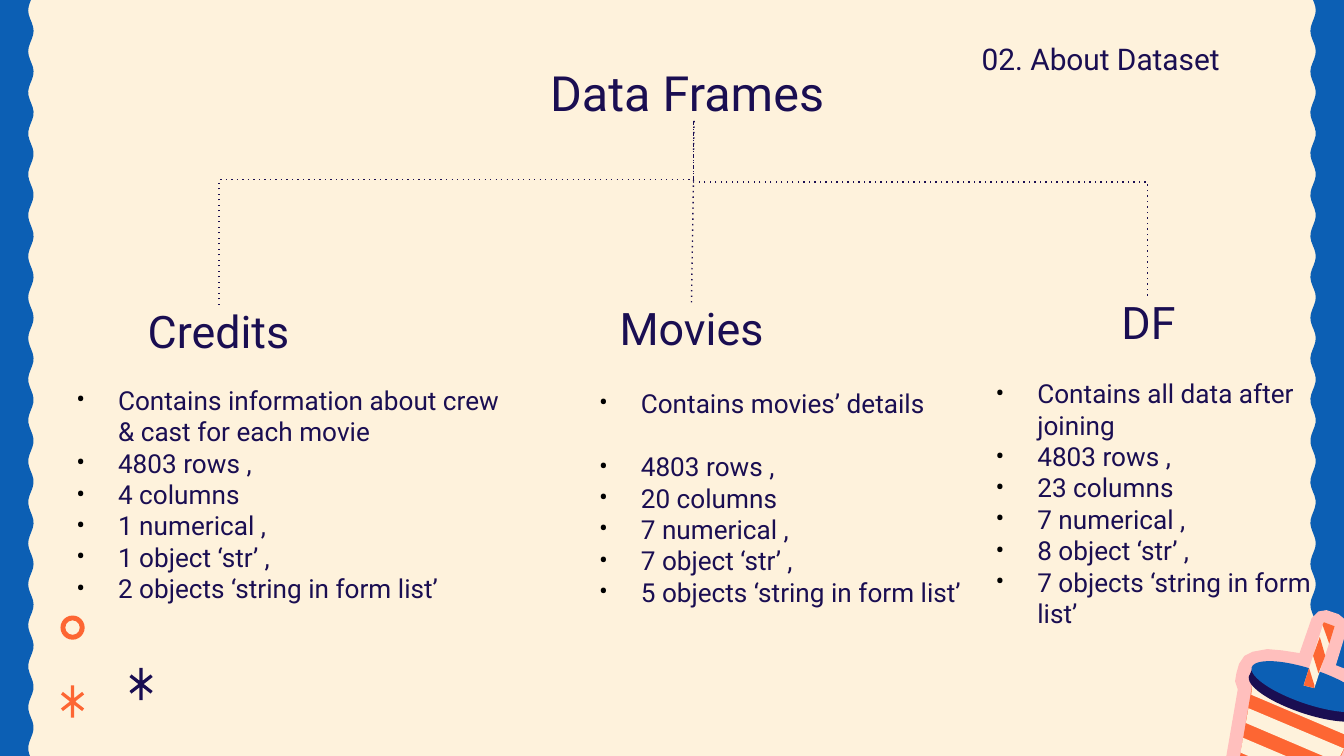
"""Builds the "Data Frames" slide: a dotted tree over three bulleted columns."""
from dataclasses import dataclass
from math import cos, pi, radians, sin

from lxml.etree import SubElement
from pptx import Presentation
from pptx.dml.color import RGBColor
from pptx.enum.dml import MSO_LINE
from pptx.enum.shapes import MSO_CONNECTOR as Link, MSO_SHAPE as Preset
from pptx.enum.text import MSO_ANCHOR as Anchor, PP_ALIGN as Align
from pptx.oxml.ns import qn
from pptx.slide import Slide
from pptx.util import Inches, Pt

CREAM = RGBColor(0xFE, 0xF2, 0xDC)
BLUE = RGBColor(0x0C, 0x5F, 0xB4)
NAVY = RGBColor(0x1A, 0x0E, 0x52)
ORANGE = RGBColor(0xFD, 0x66, 0x33)
PINK = RGBColor(0xFF, 0xBF, 0xBD)

COLUMNS = [
    ("Credits", (0.92, 2.27), (0.47, 2.76, 3.41, 1.76), 0,
     ["Contains information about crew & cast for each movie", "4803 rows ,", "4 columns",
      "1 numerical ,", "1 object ‘str’ ,", "2 objects ‘string in form list’"]),
    ("Movies", (4.44, 2.25), (4.36, 2.78, 2.95, 1.81), 17.2,
     ["Contains movies’ details", "4803 rows ,", "20 columns",
      "7 numerical ,", "7 object ‘str’ ,", "5 objects ‘string in form list’"]),
    ("DF", (7.84, 2.2), (7.31, 2.71, 2.55, 2.11), 0,
     ["Contains all data after joining", "4803 rows ,", "23 columns",
      "7 numerical ,", "8 object ‘str’ ,", "7 objects ‘string in form list’"]),
]
CUP_RIM = [
    (9.87, 4.54), (9.81, 4.55), (9.76, 4.6), (9.67, 4.86), (9.54, 4.84), (9.43, 4.83),
    (9.32, 4.85), (9.26, 4.88), (9.22, 4.94), (9.2, 5.01), (9.19, 5.07), (9.21, 5.13),
    (9.03, 6.18), (9.05, 6.26), (9.13, 6.34), (9.24, 6.41), (9.36, 6.45), (9.52, 6.47),
    (9.68, 6.45), (9.74, 6.4), (10.16, 5.45), (10.25, 5.36), (10.27, 5.29), (10.24, 5.15),
    (10.14, 5.06), (10.04, 4.99), (9.94, 4.95), (10.02, 4.69), (10.02, 4.62), (9.96, 4.57)]
CUP_BODY = [(9.32, 5.08), (9.13, 6.2), (9.23, 6.29), (9.39, 6.36), (9.52, 6.38),
            (9.65, 6.36), (10.11, 5.33)]
CUP_STRIPES = [
    [(9.32, 5.08), (9.31, 5.17), (10.04, 5.48), (10.09, 5.38), (9.57, 5.16)],
    [(9.25, 5.49), (9.23, 5.6), (9.87, 5.87), (9.91, 5.77)],
    [(9.29, 5.27), (9.27, 5.38), (9.95, 5.67), (10, 5.57)]]
LID_SIDE = [(9.32, 4.97), (9.29, 5.04), (10.15, 5.33), (10.18, 5.26)]
STRAW = [(9.85, 4.63), (9.7, 5.1), (9.78, 5.12), (9.93, 4.66)]
STRAW_STRIPES = [
    [(9.74, 4.97), (9.7, 5.1), (9.78, 5.12), (9.78, 5.1)],
    [(9.85, 4.63), (9.84, 4.65), (9.89, 4.79), (9.93, 4.66)],
    [(9.82, 4.74), (9.77, 4.88), (9.81, 5.01), (9.86, 4.88)]]


@dataclass
class Painter:
    """Holds the style and the current slide."""
    slide: Slide
    font: str = "Roboto"
    ink: RGBColor = NAVY

    def paint(self, shape, color):
        shape.shadow.inherit = False
        shape.fill.solid()
        shape.fill.fore_color.rgb = color
        shape.line.fill.background()

    def outline(self, points, color):
        start, *rest = [(Inches(x), Inches(y)) for x, y in points]
        builder = self.slide.shapes.build_freeform(*start)
        builder.add_line_segments(rest)
        self.paint(builder.convert_to_shape(), color)

    def preset(self, kind, box, color, rotation=0):
        shape = self.slide.shapes.add_shape(kind, *map(Inches, box))
        shape.rotation = rotation
        self.paint(shape, color)
        return shape

    def wavy_edge(self, mirrored=False):
        wave = [(0.23 + 0.02 * cos(2 * pi * (y - 0.23) / 0.305), y)
                for y in (-0.04 + 5.71 * step / 190 for step in range(191))]
        edge = [(-0.14, -0.04), *wave, (-0.14, 5.67)]
        self.outline([(10 - x, y) if mirrored else (x, y) for x, y in edge], BLUE)

    def asterisk(self, cx, cy, color):
        points = []
        for angle, length, notch, gap in [(38, 0.1, 64, 0.028), (90, 0.12, 116, 0.028),
                                          (142, 0.1, 180, 0.02), (218, 0.1, 244, 0.028),
                                          (270, 0.12, 296, 0.028), (322, 0.1, 360, 0.02)]:
            a, n = radians(angle), radians(notch)
            for side in (-0.012, 0.012):
                points.append((cx + length * cos(a) + side * sin(a),
                               cy + length * sin(a) - side * cos(a))
                              if side > 0 and False else
                              (cx + length * cos(a) - side * sin(a),
                               cy + length * sin(a) + side * cos(a)))
            points.append((cx + gap * cos(n), cy + gap * sin(n)))
        self.outline(points, color)

    def text(self, box, lines, size, align=Align.LEFT, anchor=Anchor.TOP, right=0.1):
        shape = self.slide.shapes.add_textbox(*map(Inches, box))
        frame = shape.text_frame
        frame.word_wrap = True
        frame.vertical_anchor = anchor
        frame.margin_left = frame.margin_top = frame.margin_bottom = Inches(0.1)
        frame.margin_right = Inches(right)
        frame.text = "\n".join(lines)
        for paragraph in frame.paragraphs:
            paragraph.alignment = align
            paragraph.font.name = self.font
            paragraph.font.size = Pt(size)
            paragraph.font.color.rgb = self.ink
        return shape

    def bullets(self, box, lines, first_gap):
        paragraphs = self.text(box, lines, 14).text_frame.paragraphs
        for paragraph in paragraphs:
            props = paragraph._p.get_or_add_pPr()
            props.set("marL", str(Inches(0.31)))
            props.set("indent", str(-Inches(0.31)))
            defaults = props.find(qn("a:defRPr"))
            color = SubElement(props, qn("a:buClr"))
            SubElement(color, qn("a:srgbClr"), val="000000")
            SubElement(props, qn("a:buFont"), typeface=self.font)
            SubElement(props, qn("a:buChar"), char="•")
            props.append(defaults)
        paragraphs[0].space_after = Pt(first_gap)

    def dotted(self, kind, start, end):
        line = self.slide.shapes.add_connector(kind, *map(Inches, (*start, *end)))
        line.line.color.rgb = self.ink
        line.line.width = Pt(0.75)
        line.line.dash_style = MSO_LINE.ROUND_DOT
        props = line._element.spPr
        props.find(".//" + qn("a:prstDash")).set("val", "dot")
        SubElement(props, qn("a:effectLst"))
        return line

    def branch(self, start, end, bend):
        cx, cy = (start[0] + end[0]) / 2, (start[1] + end[1]) / 2
        dx, dy = start[0] - cx, start[1] - cy
        line = self.dotted(Link.ELBOW, (cx + dy, cy - dx), (cx - dy, cy + dx))
        props = line._element.spPr
        props.find(qn("a:xfrm")).set("rot", str(90 * 60000))
        guides = props.find(qn("a:prstGeom")).get_or_add_avLst()
        SubElement(guides, qn("a:gd"), name="adj1", fmla=f"val {round(bend * 100000)}")


def main():
    deck = Presentation()
    deck.slide_width, deck.slide_height = Inches(10), Inches(10 * 9 / 16)
    slide = deck.slides.add_slide(deck.slide_layouts[6])
    slide.background.fill.solid()
    slide.background.fill.fore_color.rgb = CREAM
    painter = Painter(slide)

    painter.wavy_edge()
    painter.wavy_edge(mirrored=True)
    painter.asterisk(1.05, 5.09, NAVY)
    ring = painter.preset(Preset.DONUT, (0.45, 4.58, 0.18, 0.18), ORANGE)
    ring.adjustments[0] = 0.2
    painter.asterisk(0.54, 5.22, ORANGE)

    painter.outline(CUP_RIM, PINK)
    painter.outline(CUP_BODY, ORANGE)
    for stripe in CUP_STRIPES:
        painter.outline(stripe, CREAM)
    painter.preset(Preset.OVAL, (9.27, 5.05, 0.91, 0.26), NAVY, 18.6)
    painter.outline(LID_SIDE, NAVY)
    painter.preset(Preset.OVAL, (9.29, 4.98, 0.91, 0.26), BLUE, 18.6)
    painter.outline(STRAW, CREAM)
    for stripe in STRAW_STRIPES:
        painter.outline(stripe, ORANGE)

    painter.text((7.17, 0.2, 2.04, 0.49), ["02. About Dataset"], 16, Align.CENTER)
    root = painter.text((3.71, 0.47, 2.91, 0.43), ["Data Frames"], 26,
                        Align.CENTER, Anchor.MIDDLE, right=0.2)
    headings = {}
    for name, corner, box, first_gap, facts in COLUMNS:
        headings[name] = painter.text((*corner, 1.41, 0.49), [name], 24,
                                      Align.CENTER, Anchor.BOTTOM)
        painter.bullets(box, facts, first_gap)

    painter.branch((1.63, 2.27), (5.16, 0.9), 0.68)
    painter.branch((8.54, 2.2), (5.16, 0.9), 0.65)
    stem = painter.dotted(Link.STRAIGHT, (5.16, 0.9), (5.16, 1.14))
    stem.begin_connect(root, 2)
    trunk = painter.dotted(Link.STRAIGHT, (5.15, 2.25), (5.16, 1.33))
    trunk.begin_connect(headings["Movies"], 0)
    deck.save("out.pptx")


if __name__ == "__main__":
    main()
